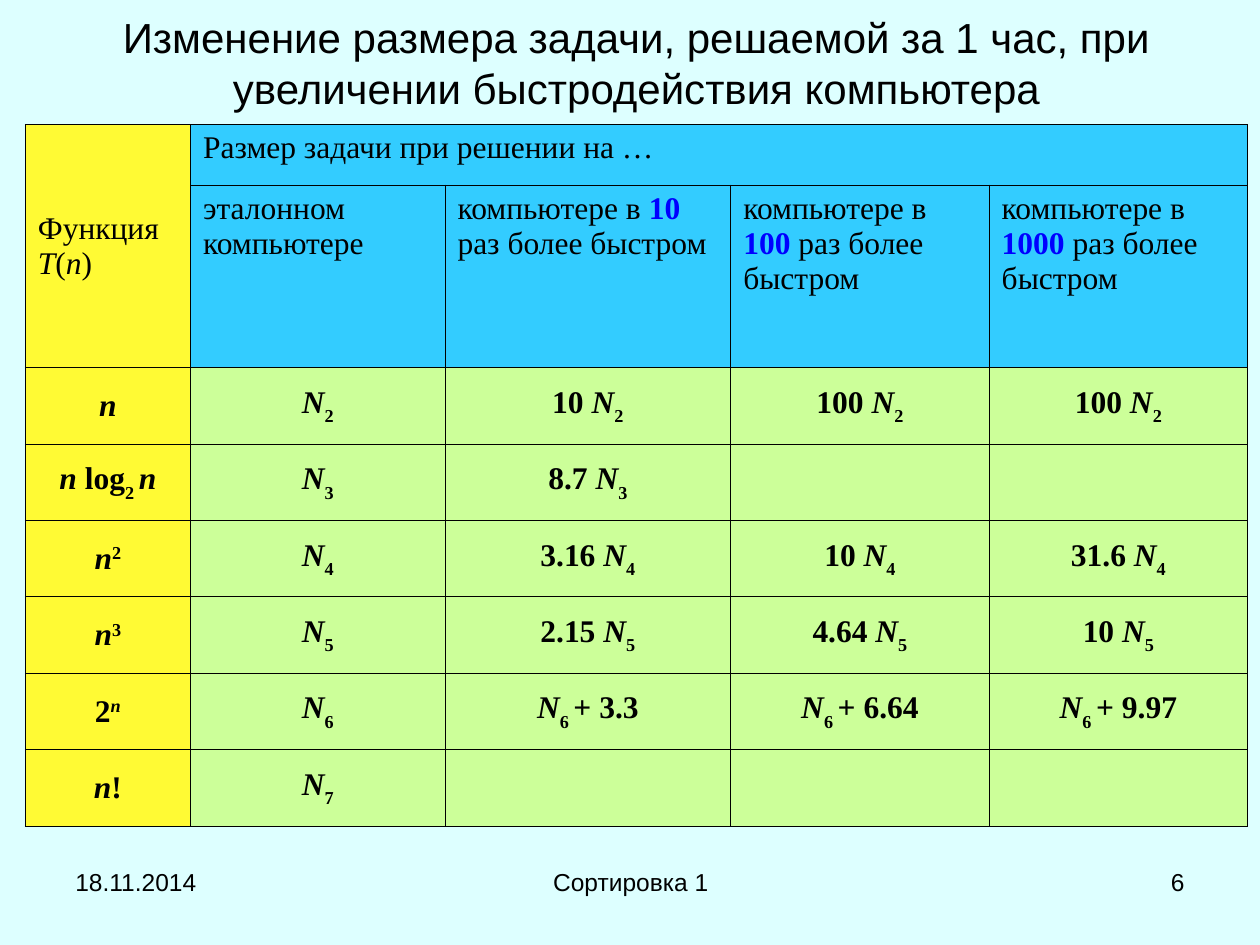
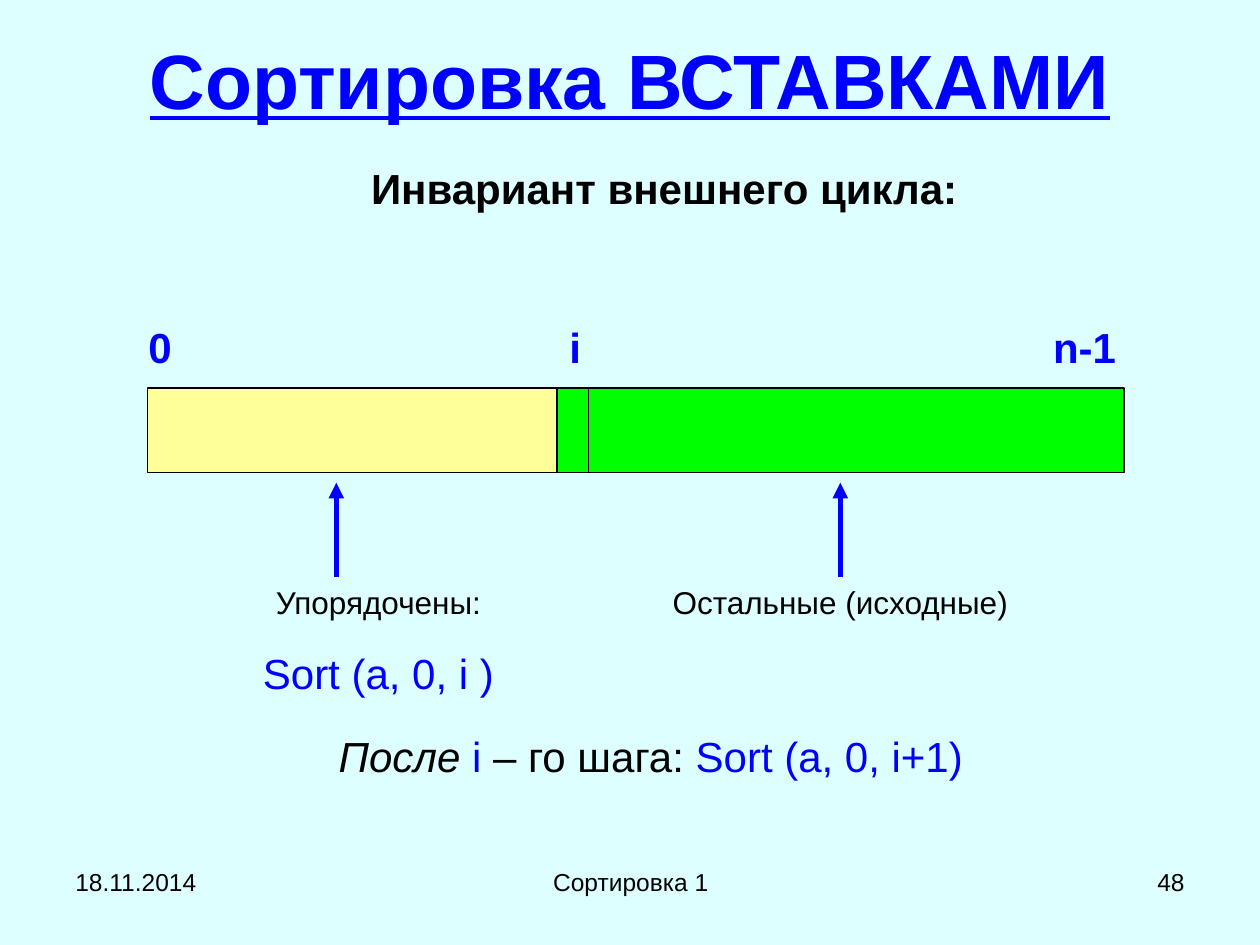
from typing import Any, NamedTuple

from lxml import etree
from pptx import Presentation
from pptx import util as u
from pptx.dml.color import RGBColor
from pptx.enum import shapes, text
from pptx.oxml import ns

COLORS = {
    "background": "DDFFFF",
    "ink": "000000",
    "accent": "0000FF",
    "function": "FFFA34",
    "header": "33CCFF",
    "size": "CCFF99",
    "sorted": "FFFF99",
    "rest": "00FF00",
}

BASE = {"name": "Arial", "size": u.Pt(24), "bold": False, "italic": False, "color": "ink"}
FOOTER = {"size": u.Pt(14)}
CAPTION = {"size": u.Pt(18)}
ACCENT = {"color": "accent"}
MARK = {"color": "accent", "bold": True}
BIG_TITLE = {"size": u.Pt(44), "color": "accent", "bold": True, "underline": True}
HEADER = {"name": "Times New Roman", "size": u.Pt(18)}
FORMULA = HEADER | {"bold": True}
ITALIC = {"italic": True}
SUBSCRIPT = {"baseline": -30}
SUPERSCRIPT = {"baseline": 30}

LEFT, CENTER, RIGHT = text.PP_ALIGN.LEFT, text.PP_ALIGN.CENTER, text.PP_ALIGN.RIGHT
TOP, MIDDLE = text.MSO_ANCHOR.TOP, text.MSO_ANCHOR.MIDDLE


class Run(NamedTuple):
    text: str
    format: dict[str, Any] = {}


class Line(NamedTuple):
    """One paragraph: its runs, the format they share and the space above it."""
    runs: list[Run]
    format: dict[str, Any] = {}
    align: Any = LEFT
    space_before: float = 0
    indent: tuple[float, float] = (0, 0)


class Box(NamedTuple):
    """Position and size in centimetres."""
    left: float
    top: float
    width: float
    height: float

    def lengths(self) -> list[u.Length]:
        return [u.Cm(value) for value in self]


class Label(NamedTuple):
    box: Box
    lines: list[Line]
    anchor: Any = TOP
    grows: bool = False


def rgb(color: str) -> RGBColor:
    return RGBColor.from_string(COLORS[color])


def format_run(run: Any, values: dict[str, Any]) -> None:
    for key, value in values.items():
        if key == "color":
            run.font.color.rgb = rgb(value)
        elif key == "baseline":
            run.font._element.set("baseline", str(value * 1000))
        else:
            setattr(run.font, key, value)


def write_lines(frame: Any, lines: list[Line]) -> None:
    for index, line in enumerate(lines):
        paragraph = frame.add_paragraph() if index else frame.paragraphs[0]
        paragraph.alignment = line.align
        if line.space_before:
            paragraph.space_before = u.Pt(line.space_before)
        if any(line.indent):
            properties = paragraph._p.get_or_add_pPr()
            for name, value in zip(("marL", "indent"), line.indent):
                properties.set(name, str(u.Cm(value)))
        for part in line.runs:
            run = paragraph.add_run()
            run.text = part.text
            format_run(run, BASE | line.format | part.format)


def draw_label(slide: Any, label: Label) -> None:
    frame = slide.shapes.add_textbox(*label.box.lengths()).text_frame
    frame.word_wrap = True
    frame.vertical_anchor = label.anchor
    if label.grows:
        frame.auto_size = text.MSO_AUTO_SIZE.SHAPE_TO_FIT_TEXT
    write_lines(frame, label.lines)


def draw_bar(slide: Any, box: Box, color: str) -> None:
    shape = slide.shapes.add_shape(shapes.MSO_SHAPE.RECTANGLE, *box.lengths())
    shape.shadow.inherit = False
    shape.fill.solid()
    shape.fill.fore_color.rgb = rgb(color)
    shape.line.color.rgb = rgb("ink")
    shape.line.width = u.Pt(0.75)


def draw_vertical(slide: Any, x: float, start: float, end: float,
                  color: str, width: float, arrow: bool = False) -> None:
    connector = slide.shapes.add_connector(
        shapes.MSO_CONNECTOR.STRAIGHT, *(u.Cm(value) for value in (x, start, x, end)))
    connector.line.color.rgb = rgb(color)
    connector.line.width = u.Pt(width)
    if arrow:
        etree.SubElement(connector.line._get_or_add_ln(), ns.qn("a:tailEnd"), type="triangle")
    etree.SubElement(connector._element.spPr, ns.qn("a:effectLst"))


def add_slide(presentation: Any, number: int, title: Label) -> Any:
    """Add a slide with the shared background, footer and title style."""
    slide = presentation.slides.add_slide(presentation.slide_layouts[6])
    slide.background.fill.solid()
    slide.background.fill.fore_color.rgb = rgb("background")
    footers = [
        (1.27, 5.92, "18.11.2014", LEFT),
        (8.69, 8.05, "Сортировка 1", CENTER),
        (18.21, 5.92, str(number), RIGHT),
    ]
    for left, width, words, align in footers:
        line = Line([Run(words)], FOOTER, align)
        draw_label(slide, Label(Box(left, 17.35, width, 1.32), [line]))
    draw_label(slide, title)
    return slide


def style_cell(cell: Any, color: str, anchor: Any) -> None:
    properties = cell._tc.get_or_add_tcPr()
    for side in ("lnL", "lnR", "lnT", "lnB"):
        border = etree.SubElement(properties, ns.qn(f"a:{side}"), w=str(u.Pt(0.45)))
        fill = etree.SubElement(border, ns.qn("a:solidFill"))
        etree.SubElement(fill, ns.qn("a:srgbClr"), val=COLORS["ink"])
    cell.fill.solid()
    cell.fill.fore_color.rgb = rgb(color)
    cell.vertical_anchor = anchor


def size_runs(index: int, factor: str = "", addend: str = "") -> list[Run]:
    """Problem size: factor × N with an index, plus an addend."""
    runs = [Run(factor)] if factor else []
    runs.append(Run(" N" if factor else "N", ITALIC))
    runs.append(Run(f"{index} " if addend else str(index), SUBSCRIPT))
    return runs + ([Run(f"+ {addend}")] if addend else [])


N_RUN = Run("n", ITALIC)
FUNCTIONS = [
    [N_RUN],
    [N_RUN, Run(" log"), Run("2 ", SUBSCRIPT), N_RUN],
    [N_RUN, Run("2", SUPERSCRIPT)],
    [N_RUN, Run("3", SUPERSCRIPT)],
    [Run("2"), Run("n", ITALIC | SUPERSCRIPT)],
    [N_RUN, Run("!")],
]
FACTORS = {
    2: ["10", "100", "100"],
    3: ["8.7"],
    4: ["3.16", "10", "31.6"],
    5: ["2.15", "4.64", "10"],
}
ADDENDS = {6: ["3.3", "6.64", "9.97"]}
COLUMN_WIDTHS = [3.33, 5.13, 5.76, 5.21, 5.21]
ROW_HEIGHTS = [1.22, 3.68] + [1.54] * len(FUNCTIONS)


def build_growth_table(slide: Any) -> None:
    box = Box(0.51, 2.51, sum(COLUMN_WIDTHS), sum(ROW_HEIGHTS))
    table = slide.shapes.add_table(
        len(ROW_HEIGHTS), len(COLUMN_WIDTHS), *box.lengths()).table
    table.first_row = table.horz_banding = False
    for column, width in zip(table.columns, COLUMN_WIDTHS):
        column.width = u.Cm(width)
    for row, height in zip(table.rows, ROW_HEIGHTS):
        row.height = u.Cm(height)

    for row_index, row in enumerate(table.rows):
        for column_index, cell in enumerate(row.cells):
            is_header = row_index < 2
            color = "header" if is_header else "size"
            anchor = TOP if is_header and column_index else MIDDLE
            style_cell(cell, color if column_index else "function", anchor)
    table.cell(0, 0).merge(table.cell(1, 0))
    table.cell(0, 1).merge(table.cell(0, len(COLUMN_WIDTHS) - 1))

    function_name = [Run("T", ITALIC), Run("("), N_RUN, Run(")")]
    write_lines(table.cell(0, 0).text_frame,
                [Line([Run("Функция")], HEADER), Line(function_name, HEADER)])
    headers = {(0, 1): [Run("Размер задачи при решении на …")],
               (1, 1): [Run("эталонном компьютере")]}
    for column_index, speedup in enumerate(("10", "100", "1000"), start=2):
        headers[1, column_index] = [
            Run("компьютере в "), Run(speedup, MARK), Run(" раз более быстром")]
    for position, runs in headers.items():
        write_lines(table.cell(*position).text_frame, [Line(runs, HEADER)])

    for index, function in enumerate(FUNCTIONS, start=2):
        row = [function, size_runs(index)]
        row += [size_runs(index, factor=factor) for factor in FACTORS.get(index, [])]
        row += [size_runs(index, addend=addend) for addend in ADDENDS.get(index, [])]
        for column_index, runs in enumerate(row):
            write_lines(table.cell(index, column_index).text_frame,
                        [Line(runs, FORMULA, CENTER)])


def build_growth_slide(presentation: Any) -> None:
    words = ("Изменение размера задачи, решаемой за 1 час, "
             "при увеличении быстродействия компьютера")
    title = Label(Box(1.4, 0, 22.86, 2.51), [Line([Run(words)], align=CENTER)], MIDDLE)
    build_growth_table(add_slide(presentation, 6, title))


def build_insertion_slide(presentation: Any) -> None:
    title = Label(Box(1.27, 0.28, 22.86, 2.62),
                  [Line([Run("Сортировка ВСТАВКАМИ")], BIG_TITLE, CENTER)], MIDDLE)
    slide = add_slide(presentation, 48, title)

    array_left, array_top, array_height = 2.97, 7.82, 1.7
    sorted_width, rest_width = 8.26, 11.43
    rest_left = array_left + sorted_width
    draw_bar(slide, Box(array_left, array_top, sorted_width, array_height), "sorted")
    draw_bar(slide, Box(rest_left, array_top, rest_width, array_height), "rest")
    draw_vertical(slide, 11.86, array_top, array_top + array_height, "ink", 0.75)

    for left, width, words in [(2.74, 1.47, "0"), (rest_left, 0.84, "i"), (20.98, 2.11, "n-1")]:
        draw_label(slide, Label(Box(left, 6.35, width, 1.27),
                                [Line([Run(words)], MARK)], grows=True))

    caption_top = 11.63
    for x in (6.78, 16.94):
        draw_vertical(slide, x, caption_top, 9.73, "accent", 3, arrow=True)

    conclusion = [Run("После ", ITALIC), Run("i ", ACCENT), Run("– го шага: "),
                  Run("Sort (a, 0, i+1)", ACCENT)]
    labels = [
        Label(Box(0.69, 3.15, 22.86, 2.13),
              [Line([Run("Инвариант внешнего цикла:")], {"bold": True}, CENTER,
                    indent=(3.18, -0.64))]),
        Label(Box(array_left, caption_top, 9.32, 2.57),
              [Line([Run("Упорядочены:")], CAPTION, CENTER),
               Line([Run("Sort (a, 0, i )")], ACCENT, CENTER, space_before=15)],
              grows=True),
        Label(Box(13.13, caption_top, 7.62, 1.02),
              [Line([Run("Остальные (исходные)")], CAPTION, CENTER)], grows=True),
        Label(Box(2.54, 14.61, 21.16, 1.27), [Line(conclusion, align=CENTER)], grows=True),
    ]
    for label in labels:
        draw_label(slide, label)


def main() -> None:
    presentation = Presentation()
    presentation.slide_width, presentation.slide_height = u.Cm(25.4), u.Cm(19.05)
    build_growth_slide(presentation)
    build_insertion_slide(presentation)
    presentation.save("out.pptx")


if __name__ == "__main__":
    main()
